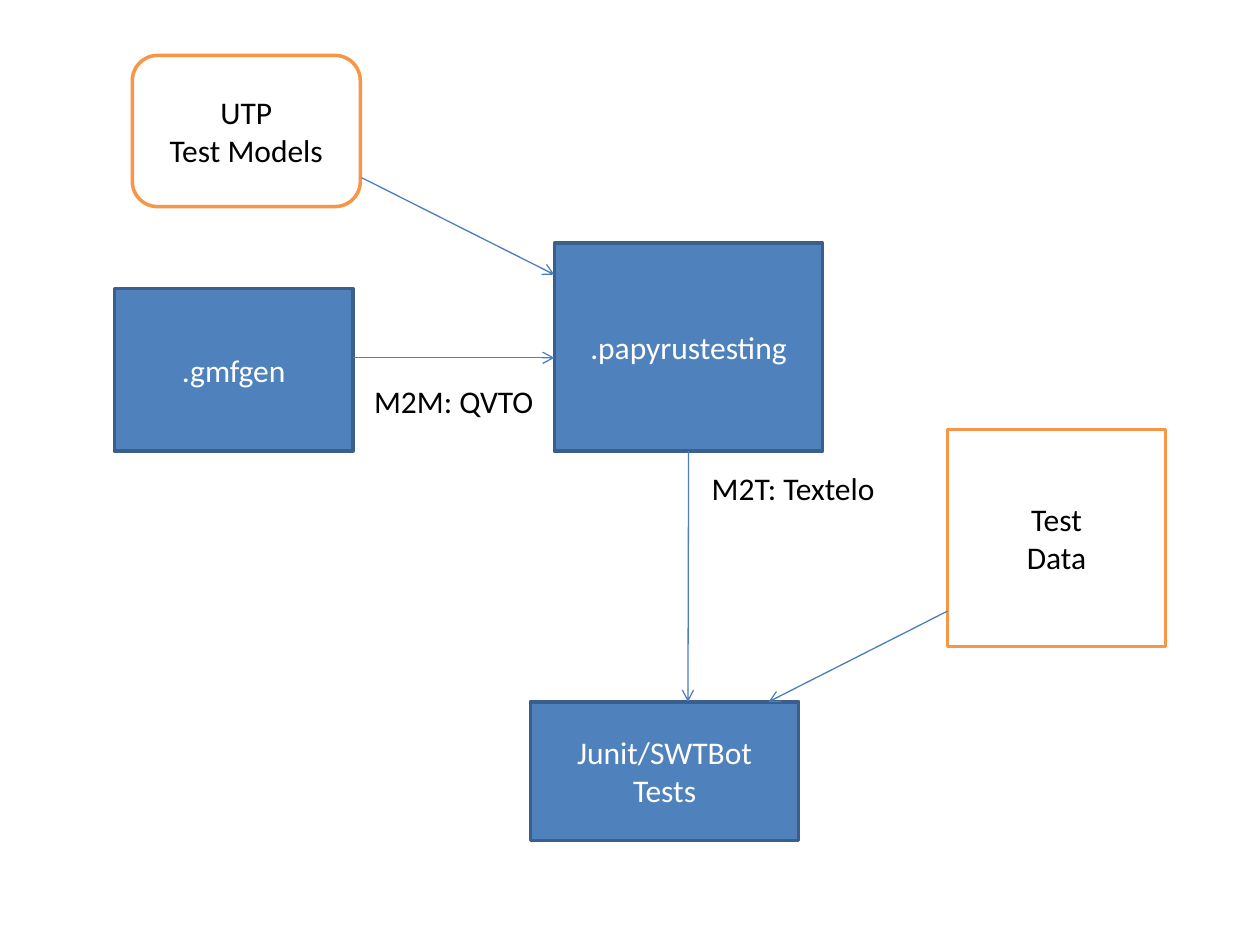
from pptx import Presentation
from pptx import util as u
from pptx.dml.color import RGBColor
from pptx.enum import shapes, text
from pptx.oxml import ns
from lxml import etree

BLUE = RGBColor(0x4F, 0x81, 0xBD)
DARK_BLUE = RGBColor(0x3A, 0x5F, 0x8C)
ARROW_BLUE = RGBColor(0x4B, 0x7E, 0xBC)
ORANGE = RGBColor(0xF7, 0x96, 0x46)
WHITE = RGBColor(0xFF, 0xFF, 0xFF)
BLACK = RGBColor(0, 0, 0)

RECT = shapes.MSO_SHAPE.RECTANGLE
ROUNDED = shapes.MSO_SHAPE.ROUNDED_RECTANGLE
BOTTOM = 2


def write_text(frame, lines, color=BLACK, align=text.PP_ALIGN.LEFT, size=18):
    for index, line in enumerate(lines):
        paragraph = frame.paragraphs[0] if index == 0 else frame.add_paragraph()
        paragraph.alignment = align
        run = paragraph.add_run()
        run.text = line
        run.font.name = "Calibri"
        run.font.size = u.Pt(size)
        run.font.color.rgb = color


def add_box(slide, bounds, lines, fill, outline, color, geometry=RECT):
    box = slide.shapes.add_shape(geometry, *map(u.Inches, bounds))
    box.shadow.inherit = False
    box.fill.solid()
    box.fill.fore_color.rgb = fill
    box.line.color.rgb = outline
    box.line.width = u.Pt(2)
    box.text_frame.word_wrap = True
    box.text_frame.vertical_anchor = text.MSO_ANCHOR.MIDDLE
    write_text(box.text_frame, lines, color=color, align=text.PP_ALIGN.CENTER)
    return box


def add_artifact(slide, bounds, *lines):
    return add_box(slide, bounds, lines, BLUE, DARK_BLUE, WHITE)


def add_input(slide, bounds, *lines, geometry=RECT):
    return add_box(slide, bounds, lines, WHITE, ORANGE, BLACK, geometry)


def add_label(slide, bounds, caption):
    label = slide.shapes.add_textbox(*map(u.Inches, bounds))
    label.text_frame.word_wrap = False
    label.text_frame.auto_size = text.MSO_AUTO_SIZE.SHAPE_TO_FIT_TEXT
    write_text(label.text_frame, [caption])


def add_arrow(slide, start, end):
    arrow = slide.shapes.add_connector(
        shapes.MSO_CONNECTOR.STRAIGHT, *map(u.Inches, start + end))
    arrow.line.color.rgb = ARROW_BLUE
    arrow.line.width = u.Pt(0.75)
    etree.SubElement(arrow.line._get_or_add_ln(), ns.qn("a:tailEnd"), type="arrow")
    etree.SubElement(arrow._element.spPr, ns.qn("a:effectLst"))
    return arrow


def main():
    deck = Presentation()
    deck.slide_width, deck.slide_height = u.Inches(10), u.Inches(7.5)
    slide = deck.slides.add_slide(deck.slide_layouts[6])

    add_artifact(slide, (0.91, 2.29, 1.89, 1.29), ".gmfgen")
    testing_model = add_artifact(slide, (4.4, 1.93, 2.13, 1.65), ".papyrustesting")
    add_arrow(slide, (2.8, 2.84), (4.4, 2.84))
    add_artifact(slide, (4.21, 5.57, 2.13, 1.1), "Junit/SWTBot Tests")
    generation = add_arrow(slide, (5.46, 3.58), (5.46, 5.57))
    generation.begin_connect(testing_model, BOTTOM)

    add_input(slide, (1.05, 0.44, 1.81, 1.2), "UTP", "Test Models", geometry=ROUNDED)
    add_label(slide, (5.55, 3.67, 1.58, 0.4), "M2T: Textelo")
    add_label(slide, (2.87, 2.98, 1.48, 0.4), "M2M: QVTO")
    add_arrow(slide, (2.87, 1.41), (4.4, 2.18))
    add_input(slide, (7.52, 3.41, 1.73, 1.72), "Test", "Data")
    add_arrow(slide, (7.52, 4.85), (6.1, 5.57))

    deck.save("out.pptx")


if __name__ == "__main__":
    main()
